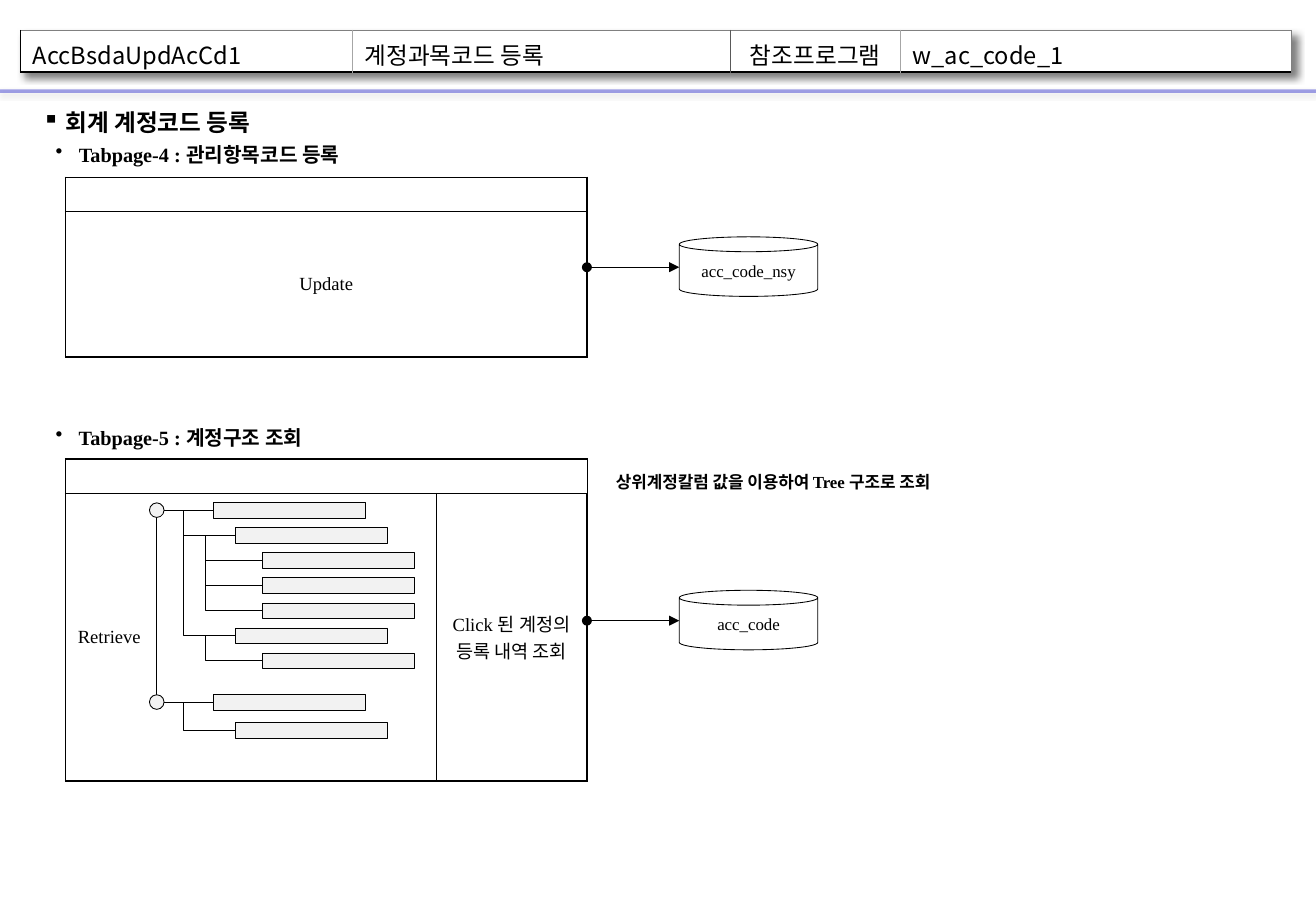
from lxml import etree
from pptx import Presentation
from pptx.dml.color import RGBColor
from pptx.enum.shapes import MSO_CONNECTOR, MSO_SHAPE
from pptx.enum.text import MSO_ANCHOR, MSO_AUTO_SIZE, PP_ALIGN
from pptx.oxml import parse_xml
from pptx.oxml.ns import qn
from pptx.util import Inches, Pt

STRAIGHT, ELBOW = MSO_CONNECTOR.STRAIGHT, MSO_CONNECTOR.ELBOW
CAN, BAR, NODE = MSO_SHAPE.CAN, MSO_SHAPE.RECTANGLE, MSO_SHAPE.OVAL
MIDDLE, FIT = MSO_ANCHOR.MIDDLE, MSO_AUTO_SIZE.SHAPE_TO_FIT_TEXT
LEFT, CENTER = PP_ALIGN.LEFT, PP_ALIGN.CENTER
SERIF, SANS = "Times New Roman", "Noto Sans CJK KR"
BLACK, WHITE, PALE = "000000", "FFFFFF", "F2F2F2"
NAMESPACE = 'xmlns:a="http://schemas.openxmlformats.org/drawingml/2006/main"'
THICK, THIN = (BLACK, 1), (BLACK, 0.5)
GREY, SILVER, DARK = ("808080", 0.5), ("A6A6A6", 0.5), ("595959", 0.5)
INDENTS = (1.76, 1.94, 2.16)
BAR_WIDTH, BAR_HEIGHT, NODE_SIZE = 1.25, 0.13, 0.12
BAR_PITCH, ELBOW_REACH = 0.206, 0.25


def color(value):
    """Turn a hex string into a colour."""
    return RGBColor.from_string(value)


def shadow_xml(alpha, blur, distance, angle):
    """Return an effect list holding one black outer shadow."""
    return parse_xml(
        f'<a:effectLst {NAMESPACE}><a:outerShdw blurRad="{Pt(blur)}" dist="{Pt(distance)}" '
        f'dir="{angle * 60000}" algn="tl" rotWithShape="0"><a:srgbClr val="{BLACK}">'
        f'<a:alpha val="{alpha * 1000}"/></a:srgbClr></a:outerShdw></a:effectLst>')


def write(frame, text, size, bold=False, font=SERIF, align=LEFT):
    """Write one paragraph into a text frame and return it."""
    paragraph = frame.paragraphs[0]
    paragraph.alignment = align
    run = paragraph.add_run()
    run.text = text
    for name, value in {"name": font, "size": Pt(size), "bold": bold}.items():
        setattr(run.font, name, value)
    run.font.color.rgb = color(BLACK)
    east_asian = etree.SubElement(run.font._element, qn("a:ea"))
    east_asian.set("typeface", SANS)
    return paragraph


def add_text(slide, box, text, size, bullet=None, wrap=False):
    """Add a bold text box, with a hanging bullet if one is given."""
    frame = slide.shapes.add_textbox(*map(Inches, box)).text_frame
    frame.word_wrap, frame.auto_size = wrap, FIT
    properties = write(frame, text, size, bold=True)._p.get_or_add_pPr()
    if bullet:
        properties.set("marL", str(Inches(0.19)))
        properties.set("indent", str(Inches(-0.19)))
        etree.SubElement(properties, qn("a:buChar")).set("char", bullet)


def add_outlined(slide, kind, box, fill):
    """Add a preset shape with a thin black outline."""
    shape = slide.shapes.add_shape(kind, *map(Inches, box))
    shape.shadow.inherit = False
    shape.fill.solid()
    shape.fill.fore_color.rgb = color(fill)
    shape.line.color.rgb = color(BLACK)
    shape.line.width = Pt(0.5)
    return shape


def add_line(slide, start, end, kind=STRAIGHT, line=THIN):
    """Add a connector without a shadow."""
    connector = slide.shapes.add_connector(kind, *map(Inches, (*start, *end)))
    connector.line.color.rgb = color(line[0])
    connector.line.width = Pt(line[1])
    etree.SubElement(connector._element.spPr, qn("a:effectLst"))
    return connector


def add_header_rule(slide):
    """Add the translucent rule under the header with its shadow."""
    rule = add_line(slide, (0, 0.75), (10.83, 0.75), line=("3333CC", 2))
    properties = rule._element.spPr
    tint = properties.find(".//" + qn("a:srgbClr"))
    etree.SubElement(tint, qn("a:alpha")).set("val", "46000")
    properties.replace(properties.find(qn("a:effectLst")), shadow_xml(38, 3.1, 1.6, 90))


def add_elbow(slide, start, end):
    """Add an elbow that leaves to the left and returns to the right."""
    connector = add_line(slide, start, end, ELBOW)
    adjust = round(-ELBOW_REACH / (end[0] - start[0]) * 100000)
    geometry = connector._element.spPr.find(qn("a:prstGeom"))
    values = geometry.find(qn("a:avLst"))
    if values is None:
        values = etree.SubElement(geometry, qn("a:avLst"))
    guide = etree.SubElement(values, qn("a:gd"))
    guide.set("name", "adj1")
    guide.set("fmla", f"val {adjust}")


def add_table(slide, corner, columns, rows):
    """Add an unstyled table of the given column widths and row heights."""
    box = map(Inches, (*corner, sum(columns), sum(rows)))
    table = slide.shapes.add_table(len(rows), len(columns), *box).table
    table.first_row = table.horz_banding = False
    for column, width in zip(table.columns, columns):
        column.width = Inches(width)
    for row, height in zip(table.rows, rows):
        row.height = Inches(height)
    return table


def format_cell(cell, borders, fill=None):
    """Set the fill and the left, right, top and bottom borders of a cell."""
    cell.vertical_anchor = MIDDLE
    if fill:
        cell.fill.solid()
        cell.fill.fore_color.rgb = color(fill)
    else:
        cell.fill.background()
    properties = cell._tc.get_or_add_tcPr()
    for index, (side, (tone, width)) in enumerate(zip("LRTB", borders)):
        properties.insert(index, parse_xml(
            f'<a:ln{side} {NAMESPACE} w="{Pt(width)}"><a:solidFill><a:srgbClr val="{tone}"/>'
            f'</a:solidFill></a:ln{side}>'))


def add_header(slide):
    """Add the program header table with its shadow."""
    table = add_table(slide, (0.17, 0.25), (2.73, 3.11, 1.4, 3.22), (0.34,))
    table._tbl.tblPr.insert(0, shadow_xml(50, 4, 4, 45))
    texts = ("AccBsdaUpdAcCd1", "계정과목코드 등록", "참조프로그램", "w_ac_code_1")
    sides = (THICK, SILVER, DARK, SILVER, GREY)
    for index, text in enumerate(texts):
        cell = table.cell(0, index)
        cell.margin_top, cell.margin_bottom = Inches(0.05), 0
        write(cell.text_frame, text, 14, font=SANS, align=CENTER if index == 2 else LEFT)
        format_cell(cell, (sides[index], sides[index + 1], GREY, (BLACK, 1.5)), WHITE)


def add_window(slide, top, columns, body_height, contents):
    """Add a window table: an empty title row above the body cells."""
    table = add_table(slide, (0.54, top), columns, (0.28, body_height))
    last = len(columns) - 1
    if last:
        table.cell(0, 0).merge(table.cell(0, last))
    for index, (text, align) in enumerate(contents):
        left, right = THICK if index == 0 else THIN, THICK if index == last else THIN
        title, body = table.cell(0, index), table.cell(1, index)
        paragraph = title.text_frame.paragraphs[0]._p
        etree.SubElement(paragraph, qn("a:endParaRPr")).set("sz", "800")
        format_cell(title, (left, right, THICK, THIN))
        write(body.text_frame, text, 11, align=align)
        format_cell(body, (left, right, THIN, THICK))


def add_database(slide, top, name):
    """Add a database can and the arrow that leads to it."""
    can = add_outlined(slide, CAN, (5.59, top, 1.14, 0.49), WHITE)
    can.text_frame.word_wrap = False
    can.text_frame.vertical_anchor = MIDDLE
    write(can.text_frame, name, 10, align=CENTER)
    arrow = add_line(slide, (4.83, top + 0.25), (5.59, top + 0.25))
    for end, kind in (("headEnd", "oval"), ("tailEnd", "triangle")):
        etree.SubElement(arrow.line._get_or_add_ln(), qn(f"a:{end}")).set("type", kind)


def add_tree(slide):
    """Add the account tree: bars by level, joined to their parents."""
    levels = (0, 1, 2, 2, 2, 1, 2, 0, 1)
    tops = [4.14 + BAR_PITCH * index for index in range(7)] + [5.72, 5.95]
    parents = {}
    add_line(slide, (1.29, 4.26), (1.29, 5.72))
    for level, top in zip(levels, tops):
        anchor = (INDENTS[level], top + BAR_HEIGHT / 2)
        parents[level] = anchor
        add_outlined(slide, BAR, (INDENTS[level], top, BAR_WIDTH, BAR_HEIGHT), PALE)
        if level:
            add_elbow(slide, parents[level - 1], anchor)
        else:
            add_outlined(slide, NODE, (1.23, top, NODE_SIZE, NODE_SIZE), PALE)
            add_line(slide, (1.23 + NODE_SIZE, anchor[1]), anchor)


def main():
    """Build the slide and save it."""
    presentation = Presentation()
    presentation.slide_width, presentation.slide_height = Inches(10.83), Inches(7.5)
    slide = presentation.slides.add_slide(presentation.slide_layouts[6])
    add_header_rule(slide)
    add_header(slide)
    add_text(slide, (0.25, 0.84, 2.07, 0.34), "회계 계정코드 등록", 14, "▪")
    add_text(slide, (0.36, 1.12, 2.68, 0.3), "Tabpage-4 : 관리항목코드 등록", 12, "•")
    add_window(slide, 1.46, (4.29,), 1.2, [("Update", CENTER)])
    add_database(slide, 1.95, "acc_code_nsy")
    add_text(slide, (0.36, 3.45, 2.34, 0.3), "Tabpage-5 : 계정구조 조회", 12, "•")
    add_window(slide, 3.78, (3.05, 1.24), 2.37,
               [("Retrieve", LEFT), ("Click 된 계정의 등록 내역 조회", CENTER)])
    add_database(slide, 4.86, "acc_code")
    add_tree(slide)
    add_text(slide, (4.97, 3.83, 3.08, 0.27), "상위계정칼럼 값을 이용하여 Tree 구조로 조회", 10, wrap=True)
    presentation.save("out.pptx")


if __name__ == "__main__":
    main()
